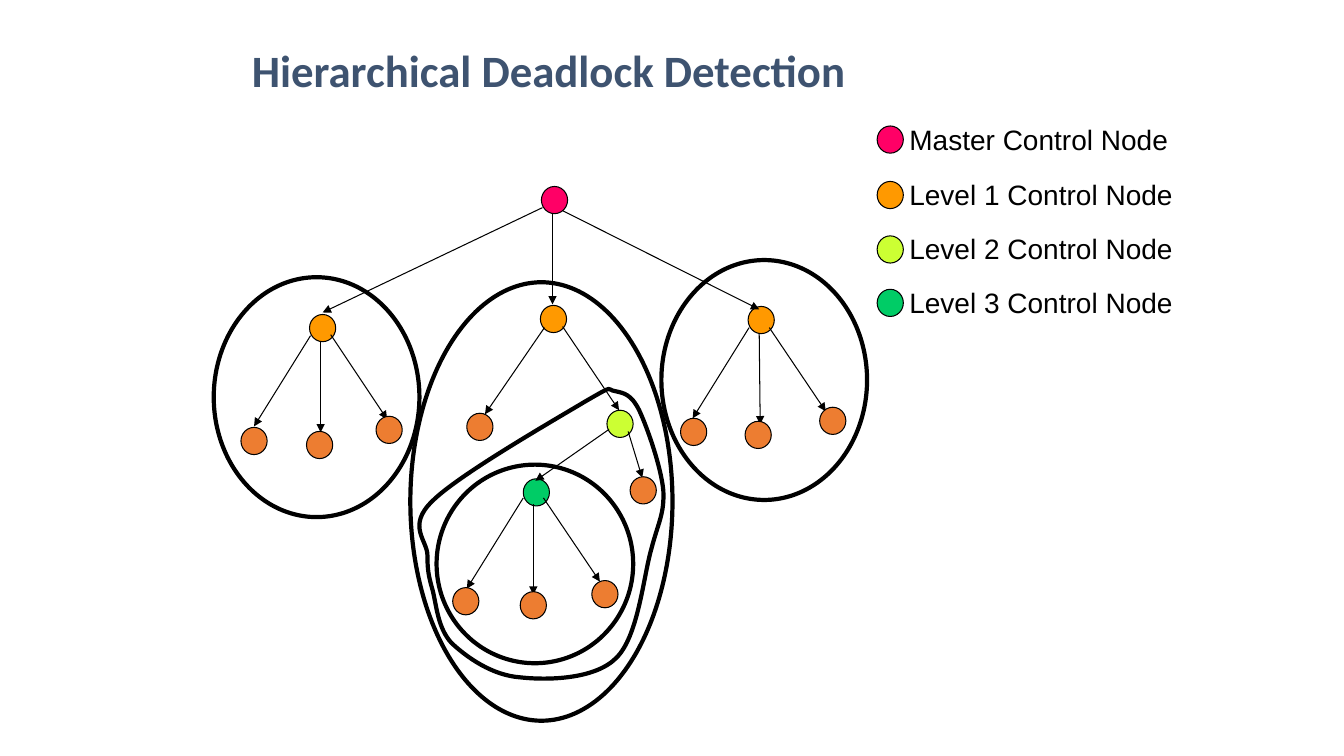
from typing import NamedTuple

from lxml import etree
from pptx import Presentation
from pptx import util as u
from pptx.dml.color import RGBColor
from pptx.enum import shapes, text
from pptx.oxml import ns

BLACK = RGBColor(0x00, 0x00, 0x00)
TITLE_BLUE = RGBColor(0x3E, 0x53, 0x70)
MASTER = RGBColor(0xFF, 0x00, 0x66)
LEVEL_1 = RGBColor(0xFF, 0x99, 0x00)
LEVEL_2 = RGBColor(0xCC, 0xFF, 0x33)
LEVEL_3 = RGBColor(0x00, 0xCC, 0x66)
SITE = RGBColor(0xED, 0x7D, 0x31)

NODE_WIDTH, NODE_HEIGHT = 0.26, 0.27


class Node(NamedTuple):
    left: float
    top: float
    color: RGBColor


class Arrow(NamedTuple):
    x1: float
    y1: float
    x2: float
    y2: float


class Area(NamedTuple):
    left: float
    top: float
    width: float
    height: float


class LegendEntry(NamedTuple):
    label: str
    color: RGBColor
    node_top: float
    text_top: float
    text_width: float


CONTROL_NODES = [
    Node(5.37, 1.85, MASTER),
    Node(3.07, 3.12, LEVEL_1), Node(5.36, 3.03, LEVEL_1), Node(7.42, 3.04, LEVEL_1),
    Node(6.02, 4.07, LEVEL_2),
    Node(5.19, 4.75, LEVEL_3),
]
SITE_NODES = [Node(left, top, SITE) for left, top in (
    (2.39, 4.24), (3.04, 4.28), (3.73, 4.13),
    (4.63, 4.1), (6.25, 4.73),
    (6.75, 4.15), (7.39, 4.18), (8.13, 4.04),
    (4.49, 5.83), (5.16, 5.87), (5.87, 5.76),
)]
ARROWS = [
    # Master to level 1
    Arrow(5.38, 2.06, 3.2, 3.1), Arrow(5.48, 2.12, 5.48, 3.02), Arrow(5.58, 2.09, 7.53, 3.07),
    # Left, middle and right level 1 nodes
    Arrow(3.08, 3.33, 2.52, 4.23), Arrow(3.18, 3.39, 3.18, 4.29), Arrow(3.28, 3.32, 3.84, 4.16),
    Arrow(5.4, 3.25, 4.81, 4.11), Arrow(5.58, 3.24, 6.14, 4.07),
    Arrow(7.43, 3.25, 6.87, 4.15), Arrow(7.53, 3.31, 7.54, 4.21), Arrow(7.63, 3.25, 8.19, 4.08),
    # Level 2 and level 3 nodes
    Arrow(6.04, 4.26, 5.31, 4.77), Arrow(6.23, 4.28, 6.37, 4.74),
    Arrow(5.19, 4.94, 4.63, 5.84), Arrow(5.29, 5, 5.29, 5.9), Arrow(5.39, 4.94, 5.95, 5.77),
]
ZONES = [
    Area(6.56, 2.58, 2.04, 2.38), Area(2.12, 2.75, 2.04, 2.38),
    Area(4.07, 2.8, 2.6, 4.35), Area(4.33, 4.61, 1.95, 1.97),
]
LEGEND = [
    LegendEntry("Master Control Node", MASTER, 1.25, 1.17, 2.79),
    LegendEntry("Level 1 Control Node", LEVEL_1, 1.8, 1.71, 2.84),
    LegendEntry("Level 2 Control Node", LEVEL_2, 2.34, 2.25, 2.84),
    LegendEntry("Level 3 Control Node", LEVEL_3, 2.87, 2.78, 2.84),
]
# Boundary of the level 2 zone in hundredths of an inch:
# a start point, then two controls and an end per curve
BOUNDARY_START = (646, 545)
BOUNDARY_POINTS = [
    (653, 518), (659, 510), (658, 487),
    (656, 464), (642, 424), (634, 407),
    (626, 391), (619, 390), (610, 388),
    (601, 387), (612, 380), (581, 398),
    (551, 416), (455, 471), (429, 497),
    (403, 522), (424, 536), (424, 551),
    (424, 565), (425, 571), (429, 585),
    (433, 600), (434, 623), (448, 638),
    (463, 652), (488, 670), (516, 672),
    (543, 675), (590, 674), (611, 653),
    (633, 632), (638, 573), BOUNDARY_START,
]


def style_outline(shape, width: float) -> None:
    shape.shadow.inherit = False
    shape.line.color.rgb = BLACK
    shape.line.width = u.Pt(width)


def add_ellipse(page, area: Area, line_width: float):
    ellipse = page.shapes.add_shape(shapes.MSO_SHAPE.OVAL, *map(u.Inches, area))
    style_outline(ellipse, line_width)
    ellipse.fill.background()
    return ellipse


def add_node(page, node: Node) -> None:
    ellipse = add_ellipse(page, Area(node.left, node.top, NODE_WIDTH, NODE_HEIGHT), 0.75)
    ellipse.fill.solid()
    ellipse.fill.fore_color.rgb = node.color


def add_arrow(page, arrow: Arrow) -> None:
    line = page.shapes.add_connector(
        shapes.MSO_CONNECTOR.STRAIGHT, *map(u.Inches, arrow))
    line.line.color.rgb = BLACK
    line.line.width = u.Pt(0.75)
    outline = line._element.spPr.find(ns.qn("a:ln"))
    etree.SubElement(outline, ns.qn("a:tailEnd"), type="triangle")
    etree.SubElement(line._element.spPr, ns.qn("a:effectLst"))


def add_boundary(page) -> None:
    builder = page.shapes.build_freeform(*BOUNDARY_START, scale=u.Inches(0.01))
    builder.add_line_segments(BOUNDARY_POINTS, close=True)
    boundary = builder.convert_to_shape()
    style_outline(boundary, 3)
    boundary.fill.background()

    # Join each three segments into one Bézier curve
    segments = list(boundary._element.iter(ns.qn("a:lnTo")))
    for index in range(0, len(segments), 3):
        curve = etree.Element(ns.qn("a:cubicBezTo"))
        segments[index].addprevious(curve)
        for segment in segments[index:index + 3]:
            curve.append(segment[0])
            segment.getparent().remove(segment)


def add_text(page, area: Area, words: str, font: str, size: float, color: RGBColor):
    box = page.shapes.add_textbox(*map(u.Inches, area))
    para = box.text_frame.paragraphs[0]
    para.text = words
    para.font.name = font
    para.font.size = u.Pt(size)
    para.font.color.rgb = color
    return box


def main() -> None:
    deck = Presentation()
    deck.slide_width, deck.slide_height = u.Inches(13.33), u.Inches(7.5)
    page = deck.slides.add_slide(deck.slide_layouts[6])

    # Title
    title = add_text(page, Area(2.4, 0.21, 8.5, 1.03), "Hierarchical Deadlock Detection",
                     "Calibri", 32, TITLE_BLUE)
    title.text_frame.word_wrap = True
    title.text_frame.vertical_anchor = text.MSO_ANCHOR.MIDDLE
    title.text_frame.paragraphs[0].font.bold = True
    title.text_frame.paragraphs[0].line_spacing = 0.9

    # Control hierarchy
    for node in CONTROL_NODES:
        add_node(page, node)
    for arrow in ARROWS:
        add_arrow(page, arrow)
    for node in SITE_NODES:
        add_node(page, node)

    # Zones of control
    for zone in ZONES:
        add_ellipse(page, zone, 3)
    add_boundary(page)

    # Legend
    for entry in LEGEND:
        add_node(page, Node(8.7, entry.node_top, entry.color))
        label = add_text(page, Area(8.92, entry.text_top, entry.text_width, 0.44),
                         entry.label, "Arial", 20, BLACK)
        label.text_frame.word_wrap = False
        label.text_frame.auto_size = text.MSO_AUTO_SIZE.SHAPE_TO_FIT_TEXT

    deck.save("out.pptx")


if __name__ == "__main__":
    main()
